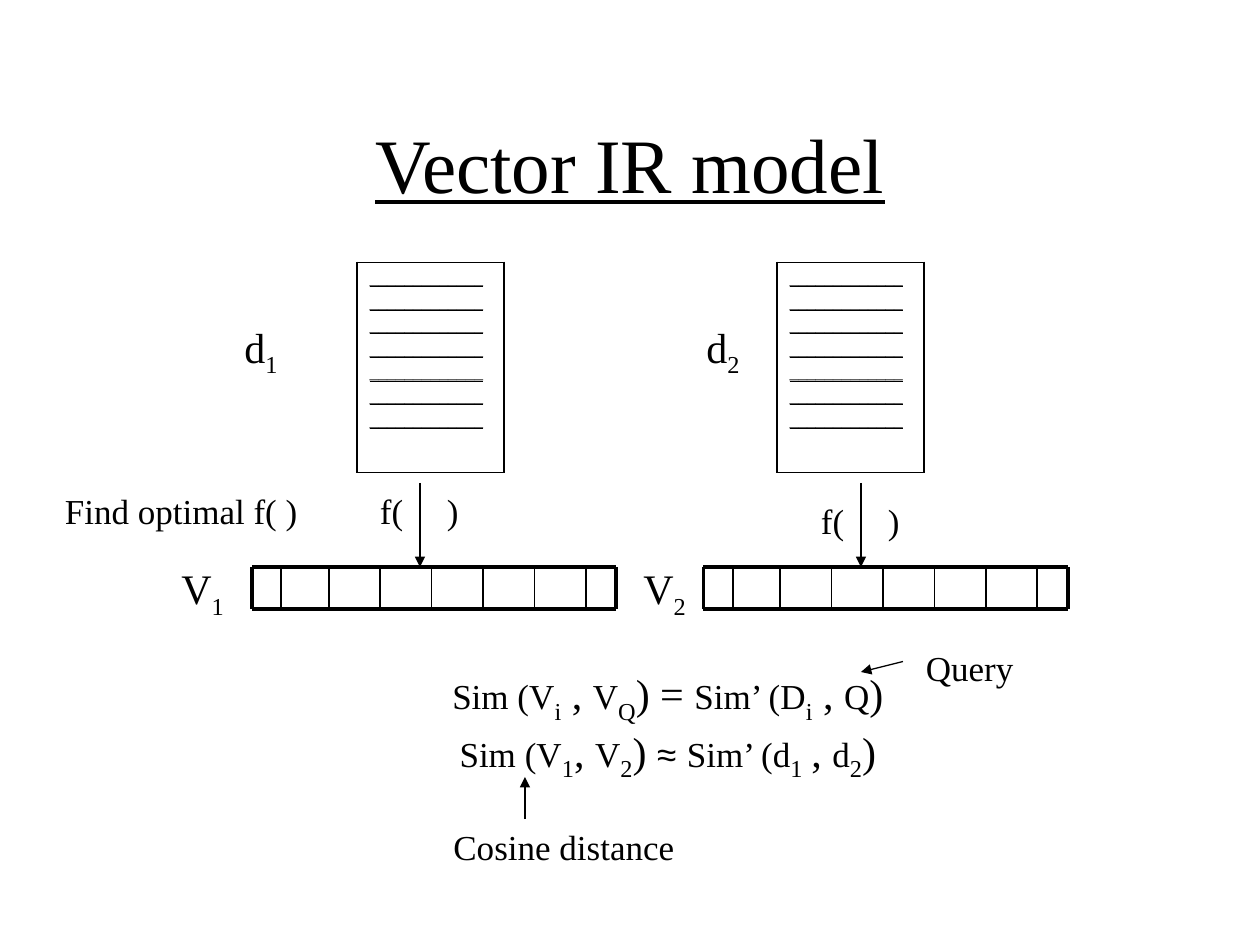
from itertools import pairwise

from lxml.etree import SubElement
from pptx import Presentation
from pptx.dml.color import RGBColor
from pptx.enum.shapes import MSO_CONNECTOR, MSO_SHAPE
from pptx.enum.text import MSO_ANCHOR, MSO_AUTO_SIZE, PP_ALIGN
from pptx.oxml import parse_xml
from pptx.oxml.ns import nsdecls, qn
from pptx.util import Inches, Pt

BLACK = RGBColor.from_string("000000")
WHITE = RGBColor.from_string("FFFFFF")
SERIF = "Times New Roman"

deck = Presentation()
deck.slide_width, deck.slide_height = Inches(10), Inches(7.5)
page = deck.slides.add_slide(deck.slide_layouts[5])


def grid(*counts):
    """Turn counts on the slide's 120 by 90 grid into lengths."""
    return [round(count * deck.slide_width / 120) for count in counts]


def add_line(start, end, weight, arrow=False):
    line = page.shapes.add_connector(MSO_CONNECTOR.STRAIGHT, *grid(*start, *end))
    line.line.color.rgb = BLACK
    line.line.width = Pt(weight)
    if arrow:
        SubElement(line.line._get_or_add_ln(), qn("a:tailEnd"), type="triangle")
    SubElement(line._element.spPr, qn("a:effectLst"))


# Title
title = page.shapes.title
title.left, title.top, title.width, title.height = grid(9, 8, 102, 15)
title.text_frame.text = "Vector IR model"
title.text_frame.vertical_anchor = MSO_ANCHOR.MIDDLE
para = title.text_frame.paragraphs[0]
para.alignment = PP_ALIGN.CENTER
font = para.runs[0].font
font.name, font.size, font.underline = SERIF, Pt(44), True
font.color.rgb = BLACK

# Documents: one-cell tables filled with ruled lines
for left in (34, 74):
    table = page.shapes.add_table(1, 1, *grid(left, 25, 14, 20)).table
    table.first_row = table.horz_banding = False
    cell = table.cell(0, 0)
    cell.text_frame.text = "\n".join(["_" * 13] * 7)
    for para in cell.text_frame.paragraphs:
        para.space_before = Pt(2.5)
        font = para.runs[0].font
        font.name, font.size, font.underline = SERIF, Pt(10), True
        font.color.rgb = BLACK
    for side in ("lnL", "lnR", "lnT", "lnB"):
        cell._tc.get_or_add_tcPr().append(parse_xml(
            f'<a:{side} {nsdecls("a")} w="{Pt(1.08)}"><a:solidFill>'
            f'<a:srgbClr val="{BLACK}"/></a:solidFill></a:{side}>'))
    cell.fill.background()

# Vectors: a heavy frame, thin dividers and a few white cells
STRIP_TOP, STRIP_BOTTOM, STRIP_WIDTH = 54, 58, 34.7
for left, white_cells in ((24, 2), (67, 3)):
    right = left + STRIP_WIDTH
    dividers = [left + 2.8] + [left + 7.3 + 4.9 * step for step in range(6)]
    for start, end in pairwise(dividers[:white_cells + 1]):
        box = page.shapes.add_shape(
            MSO_SHAPE.RECTANGLE,
            *grid(start, STRIP_TOP, end - start, STRIP_BOTTOM - STRIP_TOP))
        box.shadow.inherit = False
        box.fill.solid()
        box.fill.fore_color.rgb = WHITE
        box.line.fill.background()
    for x in dividers:
        add_line((x, STRIP_TOP), (x, STRIP_BOTTOM), 1)
    for x in (left, right):
        add_line((x, STRIP_TOP), (x, STRIP_BOTTOM), 2.25)
    for y in (STRIP_TOP, STRIP_BOTTOM):
        add_line((left, y), (right, y), 2.25)

# Arrows
for start, end in (
    ((40, 46), (40, STRIP_TOP)),
    ((82, 46), (82, STRIP_TOP)),
    ((50, 78), (50, 74)),
    ((86, 63), (82, 64)),
):
    add_line(start, end, 0.75, arrow=True)

# Text: each paragraph is a list of (text, size); "_" opens a subscript
FIRST_EQUATION = [
    ("Sim (V", 20), ("_i", 24), (" , ", 24), ("V", 20), ("_Q", 24), (") = ", 24),
    ("Sim’ (D", 20), ("_i", 24), (" , ", 24), ("Q", 20), (")", 24)]
SECOND_EQUATION = [
    ("Sim (V", 20), ("_1", 24), (", ", 24), ("V", 20), ("_2", 24), (") ", 24),
    ("≈", 20), (" ", 24), ("Sim’ (d", 20), ("_1", 24), (" ", 20), (", ", 24),
    ("d", 20), ("_2", 24), (")", 24)]
texts = [
    (22.1, 30, 6, 6.7, [[("d", 24), ("_1", 24)]]),
    (66.1, 30, 6, 6.7, [[("d", 24), ("_2", 24)]]),
    (35, 46, 10.4, 5.3, [[("f(     )", 20)]]),
    (77, 47, 10.4, 5.3, [[("f(     )", 20)]]),
    (16.1, 53, 7, 6.7, [[("V", 24), ("_1", 24)]]),
    (60.1, 53, 7, 6.7, [[("V", 24), ("_2", 24)]]),
    (5, 46, 25.2, 5.3, [[("Find optimal f( )", 20)]]),
    (37, 63, 53.2, 21.7, [FIRST_EQUATION, SECOND_EQUATION]),
    (87, 61, 11.3, 5.3, [[("Query", 20)]]),
    (42, 78, 24, 5.3, [[("Cosine distance", 20)]]),
]
for left, top, width, height, paragraphs in texts:
    box = page.shapes.add_textbox(*grid(left, top, width, height))
    frame = box.text_frame
    frame.word_wrap = True
    frame.auto_size = MSO_AUTO_SIZE.NONE
    for index, pieces in enumerate(paragraphs):
        para = frame.add_paragraph() if index else frame.paragraphs[0]
        para.alignment = PP_ALIGN.CENTER if len(paragraphs) > 1 else PP_ALIGN.LEFT
        for text, size in pieces:
            span = para.add_run()
            span.text = text.lstrip("_")
            span.font.name = "Arial" if text == "≈" else SERIF
            span.font.size = Pt(size)
            span.font.color.rgb = BLACK
            if text.startswith("_"):
                span.font._element.set("baseline", "-25000")

deck.save("out.pptx")
